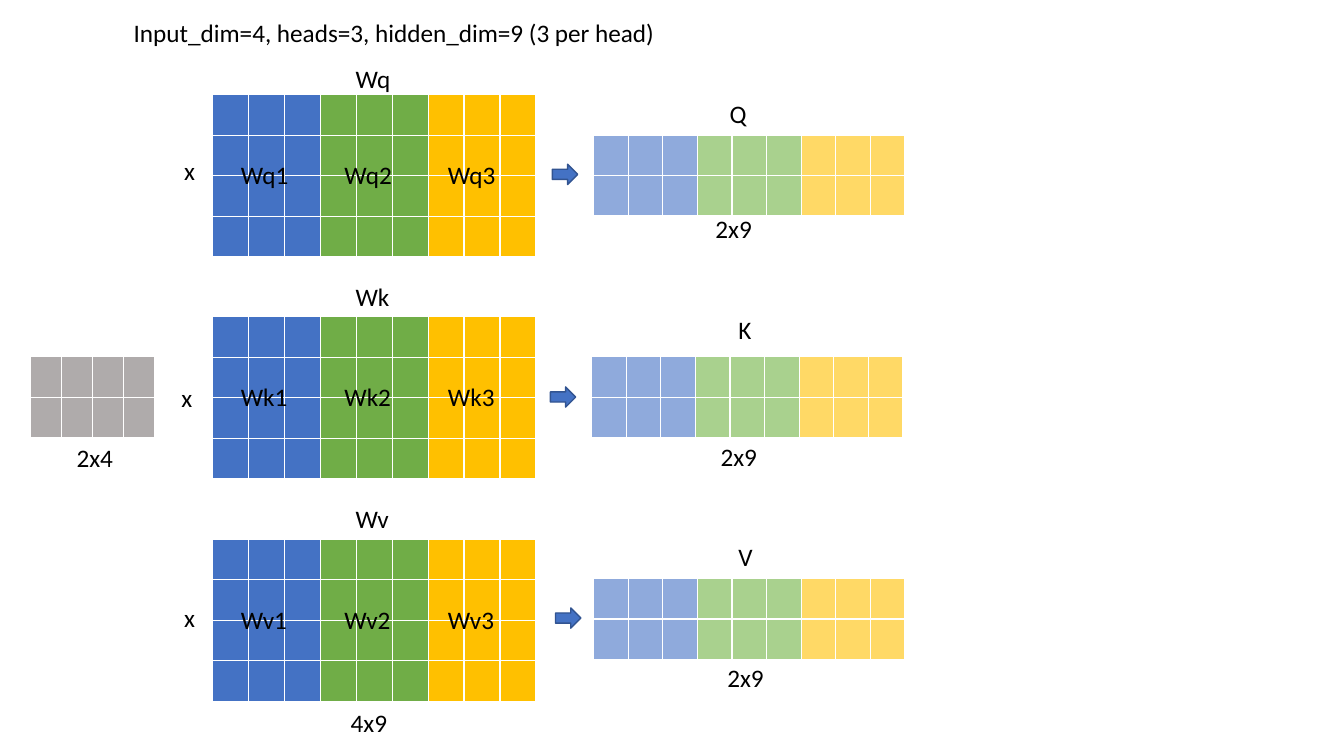
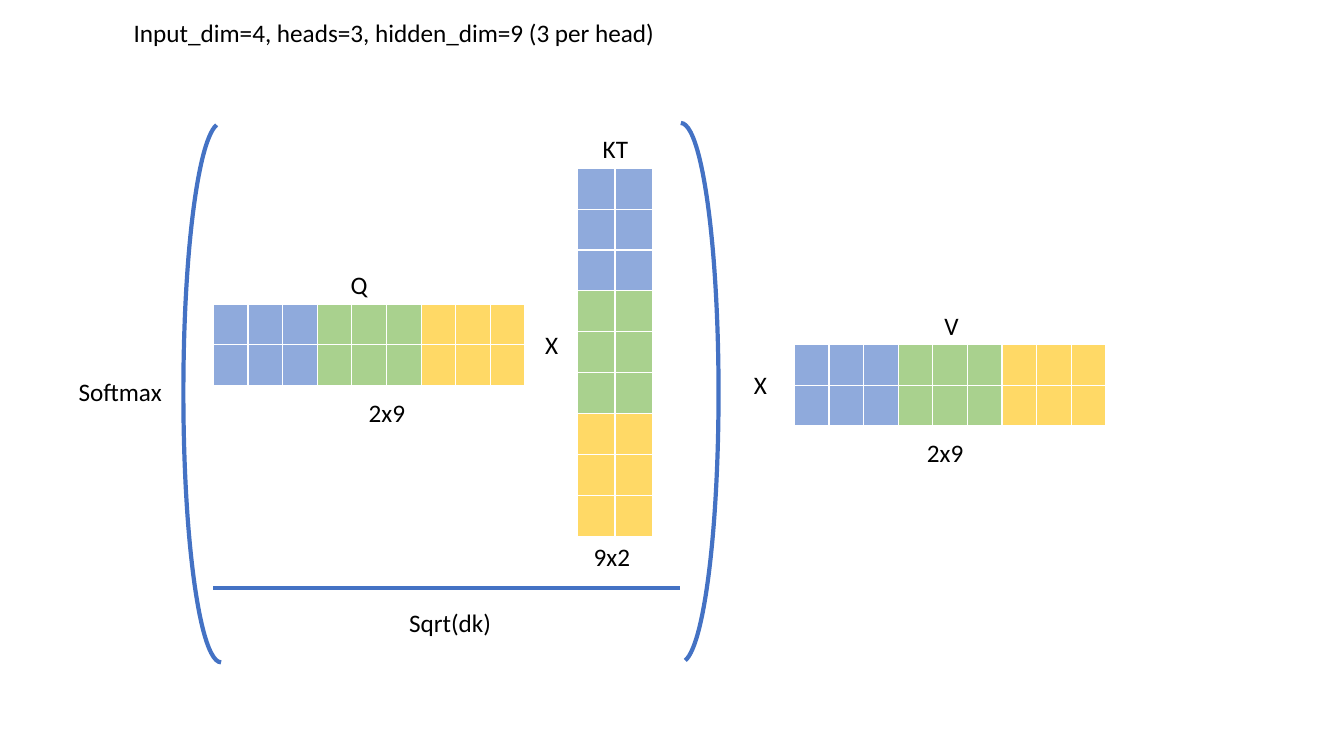
from dataclasses import dataclass

from lxml.etree import SubElement
from pptx import Presentation
from pptx.dml.color import RGBColor
from pptx.enum.shapes import MSO_CONNECTOR, MSO_SHAPE
from pptx.enum.text import MSO_AUTO_SIZE
from pptx.oxml.ns import qn
from pptx.slide import Slide
from pptx.util import Cm, Pt


# Theme
@dataclass(frozen=True)
class Theme:
    font: str = "Calibri"
    size: int = 18
    ink: str = "000000"
    accent: str = "4472C4"
    arrow_edge: str = "325491"
    thin: float = 1
    thick: float = 3
    input_fill: tuple[str, ...] = ("AFABAB",)
    weight_fills: tuple[str, ...] = ("4472C4", "70AD47", "FFC000")
    head_fills: tuple[str, ...] = ("8FAADC", "A9D18E", "FFD966")


THEME = Theme()
LINE_HEIGHT = 1.02
CELL_HEIGHT = 1.02
HEAD_PITCH = 2.61
HEADING = "Input_dim=4, heads=3, hidden_dim=9 (3 per head)"


# Repeated elements, lengths in centimetres
@dataclass(frozen=True)
class Label:
    text: str
    left: float
    top: float
    width: float
    tabs: tuple[float, ...] = ()


@dataclass(frozen=True)
class Matrix:
    left: float
    top: float
    width: float
    rows: int
    cols: int
    fills: tuple[str, ...]
    cell_height: float = CELL_HEIGHT
    heads_down: bool = False


@dataclass(frozen=True)
class Projection:
    """One row of the first slide: weights, arrow and result."""
    weight: str
    result: str
    weight_top: float
    name_top: float
    times: tuple[float, float]
    arrow: tuple[float, float]
    output: tuple[float, float]
    output_name: tuple[float, float, float]
    output_size: tuple[float, float]


def rgb(code: str) -> RGBColor:
    return RGBColor.from_string(code)


def draw_label(slide: Slide, label: Label) -> None:
    box = slide.shapes.add_textbox(
        Cm(label.left), Cm(label.top), Cm(label.width), Cm(LINE_HEIGHT))
    frame = box.text_frame
    frame.word_wrap = bool(label.tabs)
    frame.auto_size = MSO_AUTO_SIZE.SHAPE_TO_FIT_TEXT
    frame.text = label.text
    paragraph = frame.paragraphs[0]
    for run in paragraph.runs:
        run.font.name = THEME.font
        run.font.size = Pt(THEME.size)
        run.font.color.rgb = rgb(THEME.ink)
    if label.tabs:
        stops = SubElement(paragraph._p.get_or_add_pPr(), qn("a:tabLst"))
        for stop in label.tabs:
            SubElement(stops, qn("a:tab"), pos=str(Cm(stop)), algn="l")


def draw_matrix(slide: Slide, matrix: Matrix) -> None:
    # The default table style supplies the white rules
    grid = slide.shapes.add_table(
        matrix.rows, matrix.cols, Cm(matrix.left), Cm(matrix.top),
        Cm(matrix.width), Cm(matrix.rows * matrix.cell_height)).table
    count = matrix.rows if matrix.heads_down else matrix.cols
    for r in range(matrix.rows):
        for c in range(matrix.cols):
            position = r if matrix.heads_down else c
            fill = grid.cell(r, c).fill
            fill.solid()
            fill.fore_color.rgb = rgb(
                matrix.fills[position * len(matrix.fills) // count])


def draw_arrow(slide: Slide, left: float, top: float) -> None:
    arrow = slide.shapes.add_shape(
        MSO_SHAPE.RIGHT_ARROW, Cm(left), Cm(top), Cm(0.64), Cm(0.51))
    arrow.shadow.inherit = False
    arrow.fill.solid()
    arrow.fill.fore_color.rgb = rgb(THEME.accent)
    arrow.line.color.rgb = rgb(THEME.arrow_edge)
    arrow.line.width = Pt(THEME.thin)


def draw_bracket(slide: Slide, left: float, rotation: float) -> None:
    bracket = slide.shapes.add_shape(
        MSO_SHAPE.ARC, Cm(left), Cm(3.1), Cm(1.9), Cm(13.59))
    bracket.adjustments[0] = 162
    bracket.adjustments[1] = 53.43
    bracket.rotation = rotation
    bracket.shadow.inherit = False
    bracket.fill.background()
    bracket.line.color.rgb = rgb(THEME.accent)
    bracket.line.width = Pt(THEME.thick)


def draw_fraction_bar(slide: Slide, left: float, right: float, y: float) -> None:
    bar = slide.shapes.add_connector(
        MSO_CONNECTOR.STRAIGHT, Cm(left), Cm(y), Cm(right), Cm(y))
    bar.line.color.rgb = rgb(THEME.accent)
    bar.line.width = Pt(THEME.thick)
    SubElement(bar._element.spPr, qn("a:effectLst"))


def head_matrix(left: float, top: float) -> Matrix:
    return Matrix(left, top, 7.85, 2, 9, THEME.head_fills)


def draw_projection(slide: Slide, row: Projection) -> None:
    draw_matrix(slide, Matrix(
        5.36, row.weight_top, 8.15, 4, 9, THEME.weight_fills))
    draw_matrix(slide, head_matrix(*row.output))
    heads = "\t".join(f"{row.weight}{n}" for n in (1, 2, 3))
    for label in (
        Label(heads, 5.82, row.weight_top + 1.51, 7.21,
              (HEAD_PITCH, 2 * HEAD_PITCH)),
        Label(row.weight, 8.71, row.name_top, 1.4),
        Label(row.result, *row.output_name),
        Label("x", *row.times, 0.79),
        Label("2x9", *row.output_size, 1.45),
    ):
        draw_label(slide, label)
    draw_arrow(slide, *row.arrow)


PROJECTIONS = (
    Projection("Wq", "Q", 2.39, 1.47, (4.39, 3.78), (13.92, 4.14),
               (14.96, 3.4), (18.14, 2.36, 0.94), (17.78, 5.26)),
    Projection("Wk", "K", 7.98, 6.96, (4.32, 9.5), (13.87, 9.75),
               (14.91, 8.99), (18.36, 7.8, 0.84), (17.91, 11)),
    Projection("Wv", "V", 13.59, 12.55, (4.39, 15.06), (14, 15.32),
               (14.96, 14.58), (18.36, 13.51, 0.89), (18.08, 16.56)),
)

ATTENTION_MATRICES = (
    head_matrix(5.38, 7.67),
    Matrix(14.55, 4.24, 1.9, 9, 2, THEME.head_fills, 1.03, heads_down=True),
    head_matrix(20.02, 8.69),
)

ATTENTION_LABELS = (
    Label("Q", 8.59, 6.65, 0.94),
    Label("KT", 14.94, 3.23, 1.17),
    Label("X", 13.49, 8.18, 0.84),
    Label("2x9", 9.04, 9.88, 1.45),
    Label("9x2", 14.71, 13.51, 1.45),
    Label("Sqrt(dk)", 10.06, 15.19, 2.59),
    Label("Softmax", 1.73, 9.37, 2.64),
    Label("V", 23.55, 7.7, 0.89),
    Label("X", 18.75, 9.19, 0.84),
    Label("2x9", 23.11, 10.9, 1.45),
)

deck = Presentation()
deck.slide_width, deck.slide_height = Cm(33.87), Cm(19.05)


def new_slide() -> Slide:
    slide = deck.slides.add_slide(deck.slide_layouts[6])
    draw_label(slide, Label(HEADING, 3.12, 0.3, 13.82))
    return slide


# Slide 1: projecting the input to Q, K and V
projection_slide = new_slide()
draw_matrix(projection_slide, Matrix(0.76, 8.99, 3.15, 2, 4, THEME.input_fill))
draw_label(projection_slide, Label("2x4", 1.68, 11.02, 1.45))
draw_label(projection_slide, Label("4x9", 8.59, 17.7, 1.45))
for projection in PROJECTIONS:
    draw_projection(projection_slide, projection)

# Slide 2: scaled dot-product attention
attention_slide = new_slide()
for attention_matrix in ATTENTION_MATRICES:
    draw_matrix(attention_slide, attention_matrix)
for attention_label in ATTENTION_LABELS:
    draw_label(attention_slide, attention_label)
draw_bracket(attention_slide, 16.21, 0)
draw_bracket(attention_slide, 4.62, 180)
draw_fraction_bar(attention_slide, 5.38, 17.15, 14.81)

deck.save("out.pptx")
